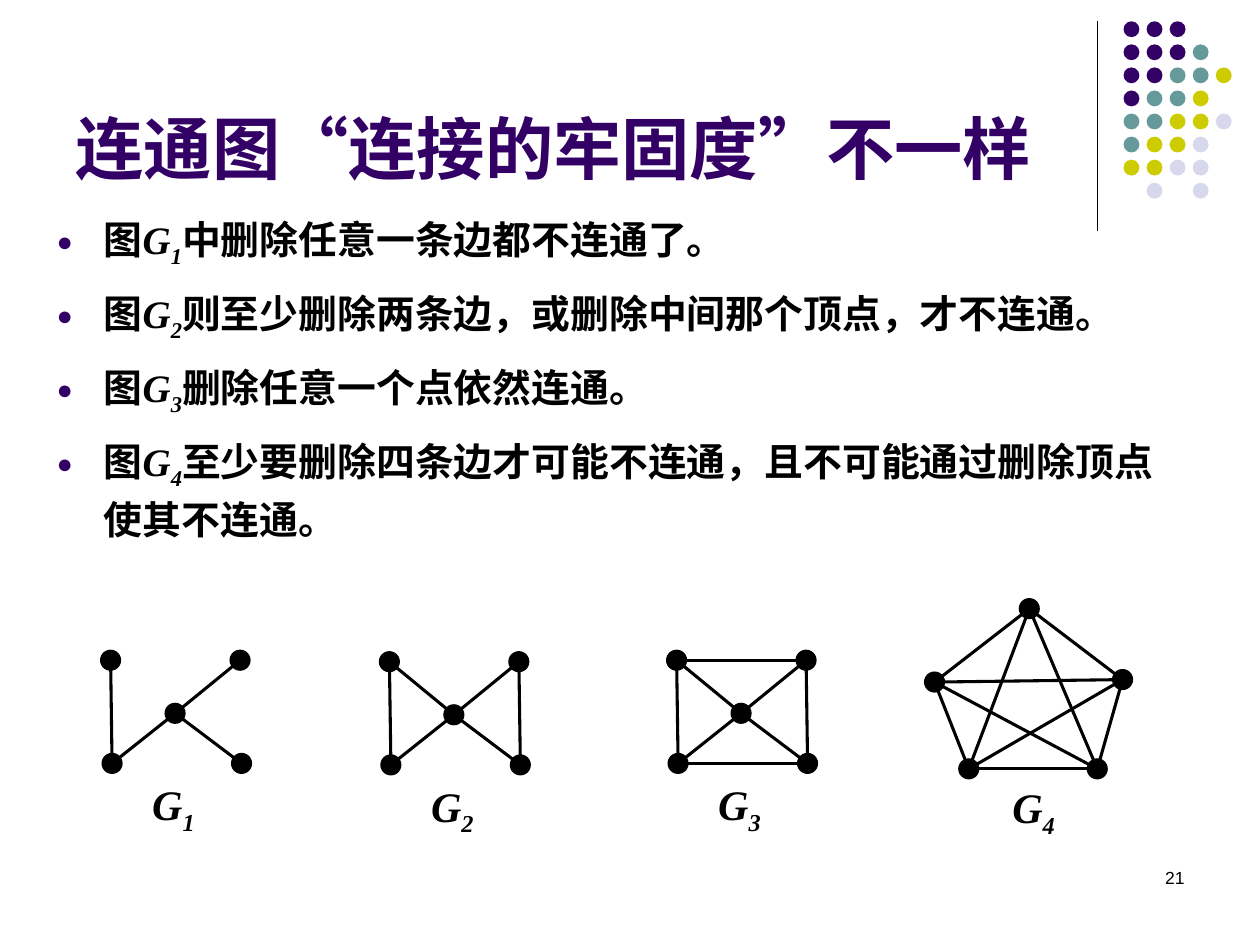
from itertools import combinations

from lxml import etree
from pptx import Presentation
from pptx.dml.color import RGBColor
from pptx.enum.lang import MSO_LANGUAGE_ID as Lang
from pptx.enum.shapes import MSO_CONNECTOR as Connector, MSO_SHAPE as Preset
from pptx.enum.text import MSO_ANCHOR as Anchor, MSO_AUTO_SIZE as AutoSize, PP_ALIGN as Align
from pptx.oxml.ns import qn
from pptx.util import Cm, Pt

BLACK = RGBColor(0x00, 0x00, 0x00)
PURPLE = RGBColor(0x33, 0x00, 0x66)
TEAL = RGBColor(0x66, 0x99, 0x99)
YELLOW = RGBColor(0xCC, 0xCC, 0x00)
LAVENDER = RGBColor(0xD8, 0xD8, 0xEC)

DOT_COLORS = {"P": PURPLE, "T": TEAL, "Y": YELLOW, "L": LAVENDER}
DOT_ROWS = ["PPP", "PPPT", "PPTTY", "PTTY", "TTYYL", "TYYL", "YYLL", " L L"]

FINDINGS = [
    "中删除任意一条边都不连通了。",
    "则至少删除两条边，或删除中间那个顶点，才不连通。",
    "删除任意一个点依然连通。",
    "至少要删除四条边才可能不连通，且不可能通过删除顶点使其不连通。",
]

SQUARE = {"tl": (0.2, 0.2), "tr": (2.81, 0.2), "bl": (0.23, 2.28),
          "br": (2.84, 2.28), "mid": (1.5, 1.27)}
PENTAGON = {"top": (2.11, 0.2), "right": (3.99, 1.63), "br": (3.48, 3.43),
            "bl": (0.89, 3.43), "left": (0.2, 1.68)}

TREE = [("tl", "bl"), ("mid", "br"), ("mid", "bl"), ("mid", "tr")]
BOW_TIE = TREE + [("tl", "mid"), ("tr", "br")]
WHEEL = BOW_TIE + [("tl", "tr"), ("bl", "br")]
COMPLETE = list(combinations(PENTAGON, 2))

GRAPHS = [
    (2.03, 13.11, SQUARE, TREE, (0.79, 2.46)),
    (7.65, 13.14, SQUARE, BOW_TIE, (0.79, 2.46)),
    (13.44, 13.11, SQUARE, WHEEL, (0.79, 2.46)),
    (18.64, 12.07, PENTAGON, COMPLETE, (1.52, 3.56)),
]


def add_text(paragraph, text, size, face="Times New Roman", color=BLACK,
             bold=True, italic=False, baseline=0):
    run = paragraph.add_run()
    run.text = text
    font = run.font
    font.size, font.name, font.bold, font.italic = Pt(size), face, bold, italic
    font.color.rgb = color
    font.language_id = Lang.SIMPLIFIED_CHINESE
    if baseline:
        run._r.get_or_add_rPr().set("baseline", str(baseline * 1000))


def add_graph_name(paragraph, number, size):
    add_text(paragraph, "G", size, italic=True)
    add_text(paragraph, str(number), size, italic=True, baseline=-25)


def add_bullet(paragraph):
    props = paragraph._p.get_or_add_pPr()
    props.set("marL", str(Cm(0.95)))
    props.set("indent", str(-Cm(0.95)))
    tint = etree.SubElement(props, qn("a:buClr"))
    etree.SubElement(tint, qn("a:srgbClr")).set("val", str(PURPLE))
    etree.SubElement(props, qn("a:buSzPct")).set("val", "70000")
    etree.SubElement(props, qn("a:buFont")).set("typeface", "Arial")
    etree.SubElement(props, qn("a:buChar")).set("char", "●")


def add_dot(shapes, preset, left, top, size, color):
    dot = shapes.add_shape(preset, Cm(left), Cm(top), Cm(size), Cm(size))
    dot.shadow.inherit = False
    dot.fill.solid()
    dot.fill.fore_color.rgb = color
    dot.line.fill.background()
    return dot


def add_line(shapes, start, end, width):
    line = shapes.add_connector(Connector.STRAIGHT, *map(Cm, start + end))
    line.line.color.rgb = BLACK
    line.line.width = Pt(width)
    etree.SubElement(line._element.spPr, qn("a:effectLst"))


def place(shape, left, top, width, height):
    shape.left, shape.top, shape.width, shape.height = map(Cm, (left, top, width, height))


def add_ornament(slide, left, top):
    add_line(slide.shapes, (left, top), (left, top + 4.22), 0.75)
    dots = slide.shapes.add_group_shape().shapes
    for row, keys in enumerate(DOT_ROWS):
        for column, key in enumerate(keys):
            if key in DOT_COLORS:
                add_dot(dots, Preset.OVAL, left + 0.53 + column * 0.465,
                        top + row * 0.465, 0.32, DOT_COLORS[key])


def fill_title(slide, left, top, width, height):
    title = slide.shapes.title
    place(title, left, top, width, height)
    frame = title.text_frame
    frame.auto_size = AutoSize.NONE
    frame.vertical_anchor = Anchor.BOTTOM
    heading = frame.paragraphs[0]
    heading.alignment = Align.LEFT
    add_text(heading, "连通图“连接的牢固度”不一样", 39, face="Arial", color=PURPLE)


def fill_findings(slide, left, top, width, height):
    body = slide.placeholders[1]
    place(body, left, top, width, height)
    frame = body.text_frame
    frame.auto_size = AutoSize.NONE
    for number, finding in enumerate(FINDINGS, 1):
        item = frame.paragraphs[0] if number == 1 else frame.add_paragraph()
        add_bullet(item)
        item.line_spacing = 1.1
        item.space_before = Pt(0 if number == 1 else 9)
        add_text(item, "图", 22.2)
        add_graph_name(item, number, 22.2)
        add_text(item, finding, 22.2)


def add_graph(slide, number, left, top, vertices, edges, label_offset):
    shapes = slide.shapes.add_group_shape().shapes
    centres = {name: (left + x, top + y) for name, (x, y) in vertices.items()}
    for start, end in edges:
        add_line(shapes, centres[start], centres[end], 1.75)
    for x, y in centres.values():
        vertex = add_dot(shapes, Preset.FLOWCHART_CONNECTOR, x - 0.2, y - 0.2, 0.4, BLACK)
        vertex.line.color.rgb = BLACK
        vertex.line.width = Pt(0.75)
    label = shapes.add_shape(Preset.RECTANGULAR_CALLOUT, Cm(left + label_offset[0]),
                             Cm(top + label_offset[1]), Cm(2), Cm(1.4))
    label.shadow.inherit = False
    label.fill.background()
    label.line.fill.background()
    frame = label.text_frame
    frame.word_wrap = False
    frame.vertical_anchor = Anchor.TOP
    frame.paragraphs[0].alignment = Align.LEFT
    add_graph_name(frame.paragraphs[0], number, 24)


def add_page_number(slide, left, top, width, height):
    frame = slide.shapes.add_textbox(*map(Cm, (left, top, width, height))).text_frame
    frame.word_wrap = True
    frame.paragraphs[0].alignment = Align.RIGHT
    add_text(frame.paragraphs[0], "21", 10, face="Arial", bold=False)


def main():
    deck = Presentation()
    deck.slide_width, deck.slide_height = Cm(25.4), Cm(19.05)
    slide = deck.slides.add_slide(deck.slide_layouts[1])
    add_ornament(slide, 22.12, 0.43)
    fill_title(slide, 1.27, 0.33, 20.96, 3.6)
    fill_findings(slide, 0.89, 4.11, 22.86, 7.01)
    for number, graph in enumerate(GRAPHS, 1):
        add_graph(slide, number, *graph)
    add_page_number(slide, 18.21, 17.35, 5.92, 1.27)
    deck.save("out.pptx")


if __name__ == "__main__":
    main()
